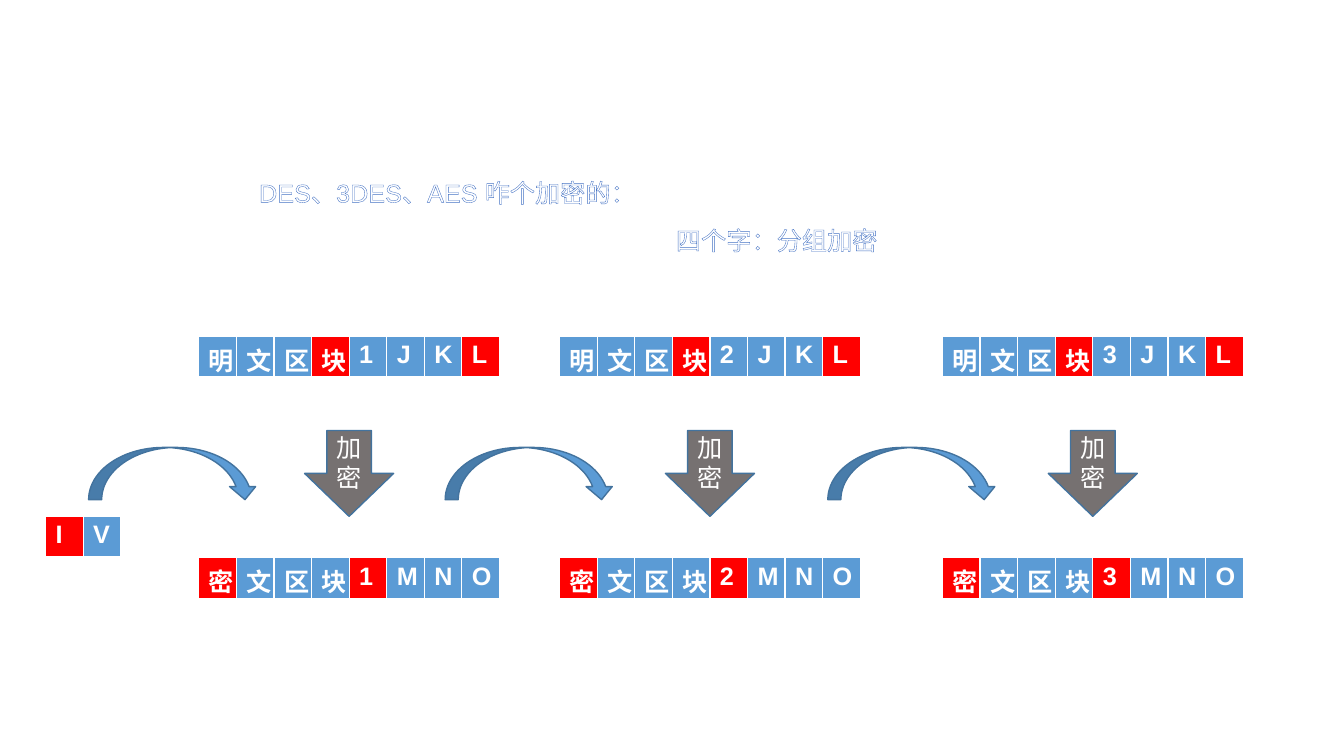
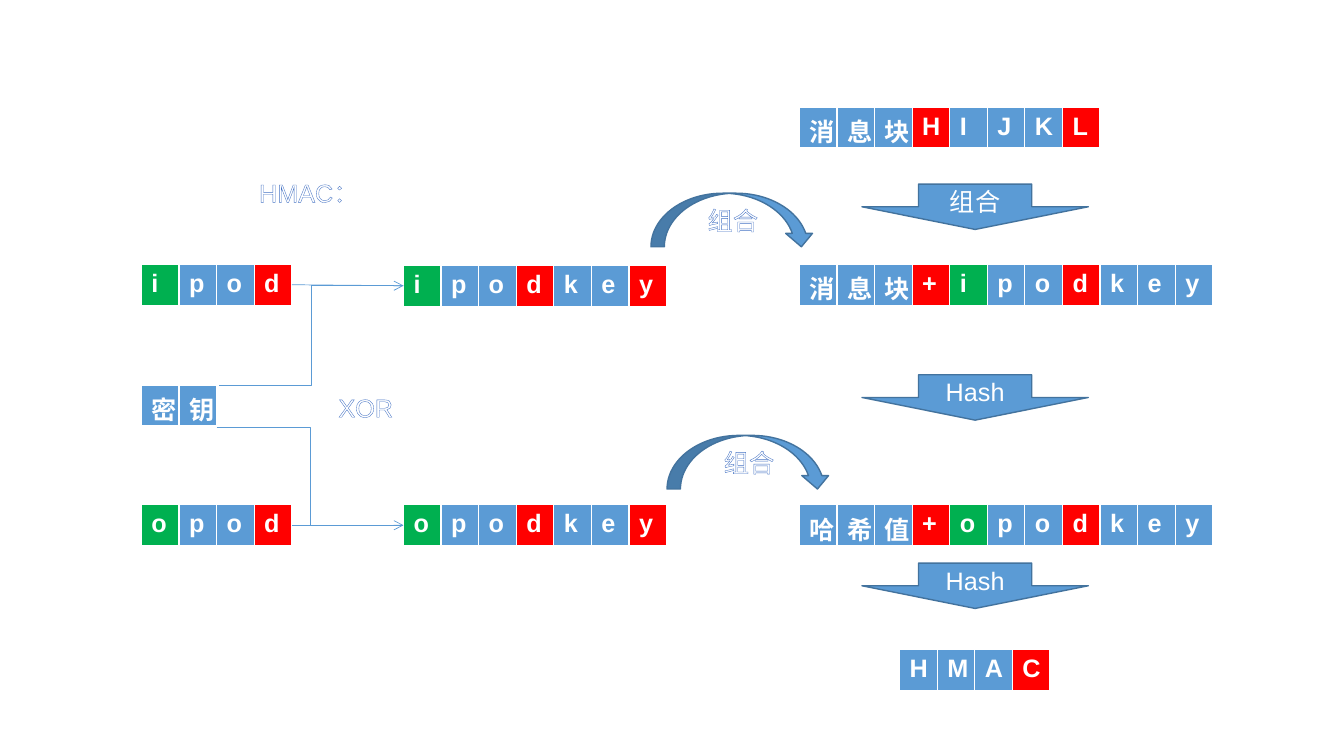
from dataclasses import dataclass

from lxml.etree import SubElement
from pptx import Presentation
from pptx.dml.color import RGBColor as RGB
from pptx.enum.shapes import MSO_CONNECTOR as Link, MSO_SHAPE as Shape
from pptx.enum.text import MSO_AUTO_SIZE as AutoSize, PP_ALIGN as Align
from pptx.oxml.ns import qn
from pptx.util import Pt


@dataclass(frozen=True)
class Theme:
    font: str = "Arial"
    text_size: float = 18
    outline_width: float = 0.8
    link_width: float = 0.5
    shape_line_width: float = 1
    white: str = "FFFFFF"
    blue: str = "5B9BD5"
    red: str = "FF0000"
    green: str = "00B050"
    gray: str = "767171"
    edge: str = "43739E"
    outline: str = "4472C4"
    cell_width: float = 26.86
    cell_height: float = 29.2


class Deck:
    """Holds the style and the slide being drawn."""

    def __init__(self, theme):
        self.theme = theme
        self.prs = Presentation()
        self.prs.slide_width, self.prs.slide_height = Pt(960), Pt(540)
        self.slide = None

    def new_slide(self):
        self.slide = self.prs.slides.add_slide(self.prs.slide_layouts[6])

    def style_text(self, frame, bold=False, outlined=False):
        for run in frame.paragraphs[0].runs:
            run.font.name = self.theme.font
            run.font.size = Pt(self.theme.text_size)
            run.font.bold = bold
            run.font.color.rgb = RGB.from_string(self.theme.white)
            if outlined:
                props = run.font._element
                ln = SubElement(props, qn("a:ln"), w=str(Pt(self.theme.outline_width)))
                fill = SubElement(ln, qn("a:solidFill"))
                SubElement(fill, qn("a:srgbClr"), val=self.theme.outline)
                props.insert(0, ln)

    def label(self, x, y, width, text):
        frame = self.slide.shapes.add_textbox(Pt(x), Pt(y), Pt(width), Pt(29)).text_frame
        frame.word_wrap = True
        frame.auto_size = AutoSize.SHAPE_TO_FIT_TEXT
        frame.text = text
        self.style_text(frame, outlined=True)

    def block(self, x, y, text, red=(), green=()):
        """One-row table with a character per cell; red and green list cell indexes."""
        t = self.theme
        holder = self.slide.shapes.add_table(
            1, len(text), Pt(x), Pt(y), Pt(t.cell_width * len(text)), Pt(t.cell_height))
        holder.table.horz_banding = False
        for i, char in enumerate(text):
            holder.table.columns[i].width = Pt(t.cell_width)
            cell = holder.table.cell(0, i)
            cell.fill.solid()
            color = t.red if i in red else t.green if i in green else t.blue
            cell.fill.fore_color.rgb = RGB.from_string(color)
            cell.text_frame.text = char
            self.style_text(cell.text_frame, bold=True)
        return holder

    def arrow(self, kind, x, y, width, height, text="", color=None, outlined=False):
        t = self.theme
        arrow = self.slide.shapes.add_shape(kind, Pt(x), Pt(y), Pt(width), Pt(height))
        arrow.shadow.inherit = False
        arrow.fill.solid()
        arrow.fill.fore_color.rgb = RGB.from_string(color or t.blue)
        arrow.line.color.rgb = RGB.from_string(t.edge)
        arrow.line.width = Pt(t.shape_line_width)
        if text:
            arrow.text_frame.word_wrap = True
            arrow.text_frame.text = text
            arrow.text_frame.paragraphs[0].alignment = Align.CENTER
            self.style_text(arrow.text_frame, outlined=outlined)

    def link(self, kind, x1, y1, x2, y2, head=False):
        link = self.slide.shapes.add_connector(kind, Pt(x1), Pt(y1), Pt(x2), Pt(y2))
        link.line.color.rgb = RGB.from_string(self.theme.blue)
        link.line.width = Pt(self.theme.link_width)
        if head:
            SubElement(link.line._get_or_add_ln(), qn("a:tailEnd"), type="arrow")
        SubElement(link._element.spPr, qn("a:effectLst"))
        return link

    def join(self, left, right):
        link = self.link(Link.STRAIGHT, 0, 0, 1, 1)
        link.begin_connect(left, 3)
        link.end_connect(right, 1)


def block_cipher_slide(deck):
    deck.new_slide()
    deck.label(178, 123, 311, "DES、3DES、AES 咋个加密的：")
    deck.label(475.7, 157, 175, "四个字：分组加密")

    # Initial vector
    deck.block(32.5, 368.5, "IV", red=[0])

    # Chained blocks: plaintext, encryption, ciphertext, feed from the left
    for number, (x, feed_x) in enumerate([(142, 63.3), (399.7, 318), (673.2, 591.3)], 1):
        deck.block(x, 240, f"明文区块{number}JKL", red=[3, 7])
        deck.block(x, 398.3, f"密文区块{number}MNO", red=[0, 4])
        deck.arrow(Shape.DOWN_ARROW, x + 75.6, 307.5, 63.6, 61.3, "加密", deck.theme.gray)
        deck.arrow(Shape.CURVED_DOWN_ARROW, feed_x, 319.6, 121, 37.3)


def hmac_slide(deck):
    deck.new_slide()
    deck.label(178, 123, 311, "HMAC：")

    # Pads mixed with the key
    pad_x, key_x = 101, 288.2
    deck.block(pad_x, 275, "密钥")
    for pad, pad_y, mixed_y in [("ipod", 188.8, 189.5), ("opod", 360.6, 360.6)]:
        source = deck.block(pad_x, pad_y, pad, red=[3], green=[0])
        mixed = deck.block(key_x, mixed_y, pad + "key", red=[3, 6], green=[0])
        deck.join(source, mixed)
    deck.link(Link.ELBOW, 156.4, 275, key_x, 204.1, head=True)
    deck.link(Link.ELBOW, 154.8, 305.4, key_x, 375.2, head=True)
    deck.label(234.7, 276.5, 75, "XOR")

    # Message column
    message_x = 571
    deck.block(message_x, 76.5, "消息块HIJKL", red=[3, 7])
    deck.block(message_x, 188.8, "消息块+ipodkey", red=[3, 7], green=[4])
    deck.block(message_x, 360.6, "哈希值+opodkey", red=[3, 7], green=[4])
    deck.block(642.6, 464.2, "HMAC", red=[3])

    # Steps between the blocks
    for y, step in [(131.5, "组合"), (267.7, "Hash"), (402.2, "Hash")]:
        deck.arrow(Shape.DOWN_ARROW, 615.7, y, 161.7, 32.4, step)
    for x, y in [(465, 138), (476.5, 311)]:
        deck.arrow(Shape.CURVED_DOWN_ARROW, x, y, 117, 38.3, "组合", outlined=True)


def main():
    deck = Deck(Theme())
    block_cipher_slide(deck)
    hmac_slide(deck)
    deck.prs.save("out.pptx")


if __name__ == "__main__":
    main()
